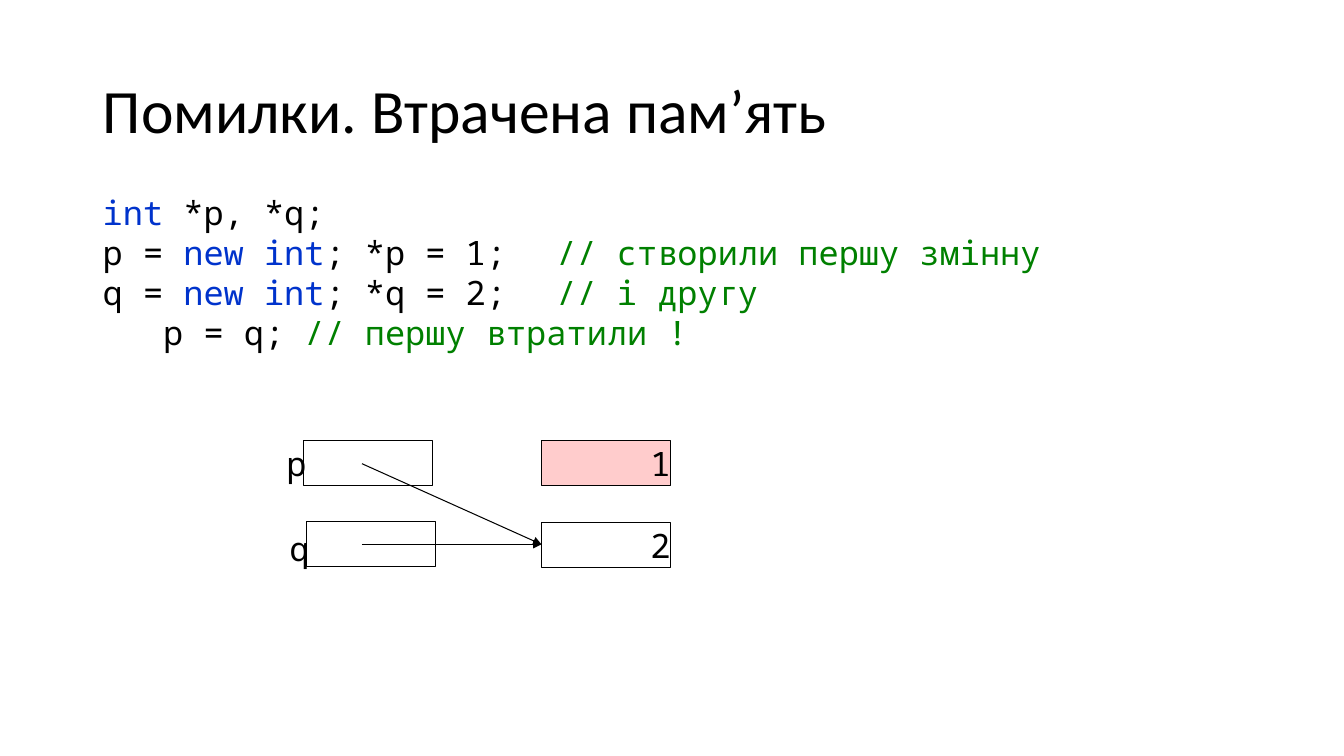
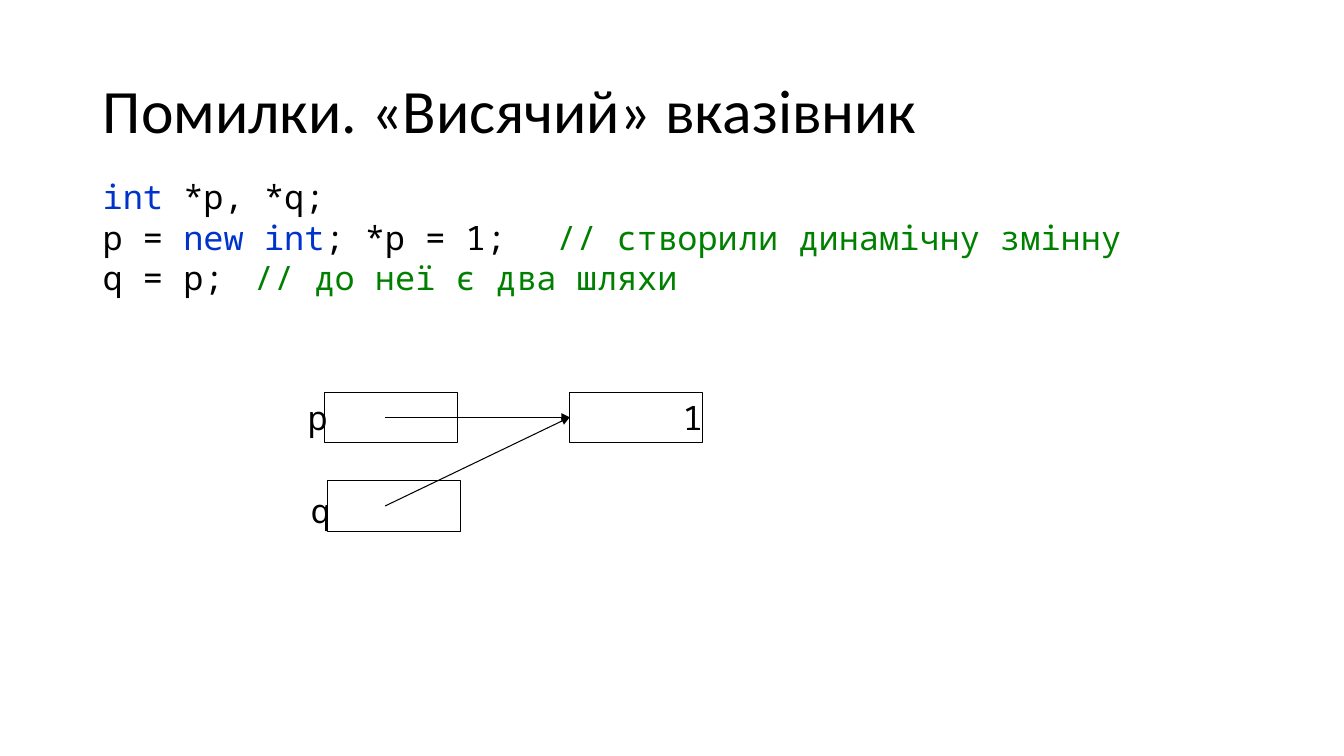
from lxml import etree
from pptx import Presentation
from pptx.dml.color import RGBColor
from pptx.enum.shapes import MSO_CONNECTOR, MSO_SHAPE
from pptx.enum.text import MSO_ANCHOR, MSO_AUTO_SIZE, PP_ALIGN
from pptx.oxml.ns import qn
from pptx.util import Inches, Pt

RECTANGLE = MSO_SHAPE.RECTANGLE
STRAIGHT = MSO_CONNECTOR.STRAIGHT
MIDDLE, TOP = MSO_ANCHOR.MIDDLE, MSO_ANCHOR.TOP
LEFT, RIGHT = PP_ALIGN.LEFT, PP_ALIGN.RIGHT
NO_AUTOFIT = MSO_AUTO_SIZE.NONE
TITLE_ONLY = 5

COLOURS = {"text": "000000", "keyword": "0033CC", "comment": "008000",
           "cell": "FFFFFF", "lost": "FFCCCC"}
TITLE_FONT, CODE_FONT = "Calibri", "Noto Sans Mono"
TITLE_SIZE, CODE_SIZE, CODE_PITCH = Pt(44), Pt(24), Pt(28.8)
CHARACTER = 0.2  # width of one code character, inches
LINE_WIDTH = Pt(0.75)


def colour(name):
    return RGBColor.from_string(COLOURS[name])


class Deck:
    """Holds the shared style and the current slide."""

    def __init__(self):
        self.presentation = Presentation()
        self.presentation.slide_width = Inches(13.33)
        self.presentation.slide_height = Inches(7.5)
        self.slide = None

    def add_slide(self, title):
        layout = self.presentation.slide_layouts[TITLE_ONLY]
        self.slide = self.presentation.slides.add_slide(layout)
        shape = self.slide.shapes.title
        shape.left, shape.top = Inches(0.92), Inches(0.4)
        shape.width, shape.height = Inches(11.5), Inches(1.45)
        frame = shape.text_frame
        frame.text = title
        frame.auto_size = NO_AUTOFIT
        frame.vertical_anchor = MIDDLE
        paragraph = frame.paragraphs[0]
        paragraph.alignment = LEFT
        paragraph.line_spacing = 0.9
        self.set_font(paragraph.font, TITLE_FONT, TITLE_SIZE)

    def set_font(self, font, name, size):
        font.name, font.size = name, size
        font.color.rgb = colour("text")

    def code(self, top, width, comment_column, lines):
        """Each line is (indent in characters, [(text, colour name), ...])."""
        height = len(lines) * 0.4 + 0.1
        box = self.slide.shapes.add_textbox(
            Inches(0.92), Inches(top), Inches(width), Inches(height))
        frame = box.text_frame
        frame.word_wrap = True
        frame.vertical_anchor = TOP
        for number, (indent, parts) in enumerate(lines):
            paragraph = frame.paragraphs[0] if number == 0 else frame.add_paragraph()
            paragraph.line_spacing = CODE_PITCH
            properties = paragraph._p.get_or_add_pPr()
            properties.set("indent", str(Inches(indent * CHARACTER)))
            tabs = etree.SubElement(properties, qn("a:tabLst"))
            etree.SubElement(tabs, qn("a:tab"), algn="l",
                             pos=str(Inches(comment_column * CHARACTER)))
            paragraph.font.name, paragraph.font.size = CODE_FONT, CODE_SIZE
            for text, colour_name in parts:
                run = paragraph.add_run()
                run.text = text
                run.font.color.rgb = colour(colour_name)

    def right_text(self, shape, text):
        frame = shape.text_frame
        frame.margin_left = frame.margin_right = 0
        frame.margin_top = frame.margin_bottom = 0
        frame.word_wrap = True
        frame.vertical_anchor = MIDDLE
        frame.text = text
        paragraph = frame.paragraphs[0]
        paragraph.alignment = RIGHT
        self.set_font(paragraph.font, CODE_FONT, CODE_SIZE)

    def cell(self, left, top, size, value=None, fill="cell"):
        shape = self.slide.shapes.add_shape(
            RECTANGLE, Inches(left), Inches(top), *map(Inches, size))
        shape.shadow.inherit = False
        shape.fill.solid()
        shape.fill.fore_color.rgb = colour(fill)
        shape.line.color.rgb = colour("text")
        shape.line.width = LINE_WIDTH
        if value:
            self.right_text(shape, value)

    def pointer(self, name, left, top, size, label_drop=0):
        """A cell with its variable name just left of it."""
        self.cell(left, top, size)
        width, height = size
        label = self.slide.shapes.add_textbox(
            Inches(left + 0.03 - width), Inches(top - 0.04 + label_drop),
            Inches(width), Inches(height + 0.08))
        self.right_text(label, name)

    def arrow(self, start, end):
        connector = self.slide.shapes.add_connector(
            STRAIGHT, *map(Inches, start + end))
        connector.line.color.rgb = colour("text")
        connector.line.width = LINE_WIDTH
        etree.SubElement(connector.line._get_or_add_ln(), qn("a:tailEnd"),
                         type="triangle")
        etree.SubElement(connector._element.spPr, qn("a:effectLst"))


def allocation(name, value, comment):
    return (0, [(f"{name} = ", "text"), ("new int", "keyword"),
                (f"; *{name} = {value};\t", "text"), (comment, "comment")])


DECLARATION = (0, [("int", "keyword"), (" *p, *q;", "text")])

deck = Deck()

# Slide 1: lost memory
deck.add_slide("Помилки. Втрачена пам’ять")
deck.code(1.85, 10.42, 26, [
    DECLARATION,
    allocation("p", 1, "// створили першу змінну"),
    allocation("q", 2, "// і другу"),
    (3, [("p = q;\t", "text"), ("// першу втратили !", "comment")]),
])
size = (1.28, 0.45)
deck.pointer("p", 3.01, 4.37, size)
deck.pointer("q", 3.04, 5.17, size, label_drop=0.04)
deck.cell(5.37, 4.37, size, "1", "lost")
deck.cell(5.37, 5.18, size, "2")
for start_y in (5.4, 4.6):
    deck.arrow((3.59, start_y), (5.37, 5.4))

# Slide 2: dangling pointer
deck.add_slide("Помилки. «Висячий» вказівник")
deck.code(1.7, 11.27, 24, [
    DECLARATION,
    allocation("p", 1, "// створили динамічну змінну"),
    (0, [("q = p;\t", "text"), ("// до неї є два шляхи", "comment")]),
])
size = (1.32, 0.5)
deck.pointer("p", 3.22, 3.89, size)
deck.pointer("q", 3.25, 4.77, size, label_drop=0.04)
deck.cell(5.65, 3.89, size, "1")
for start_y in (5.02, 4.14):
    deck.arrow((3.82, start_y), (5.65, 4.14))

deck.presentation.save("out.pptx")
